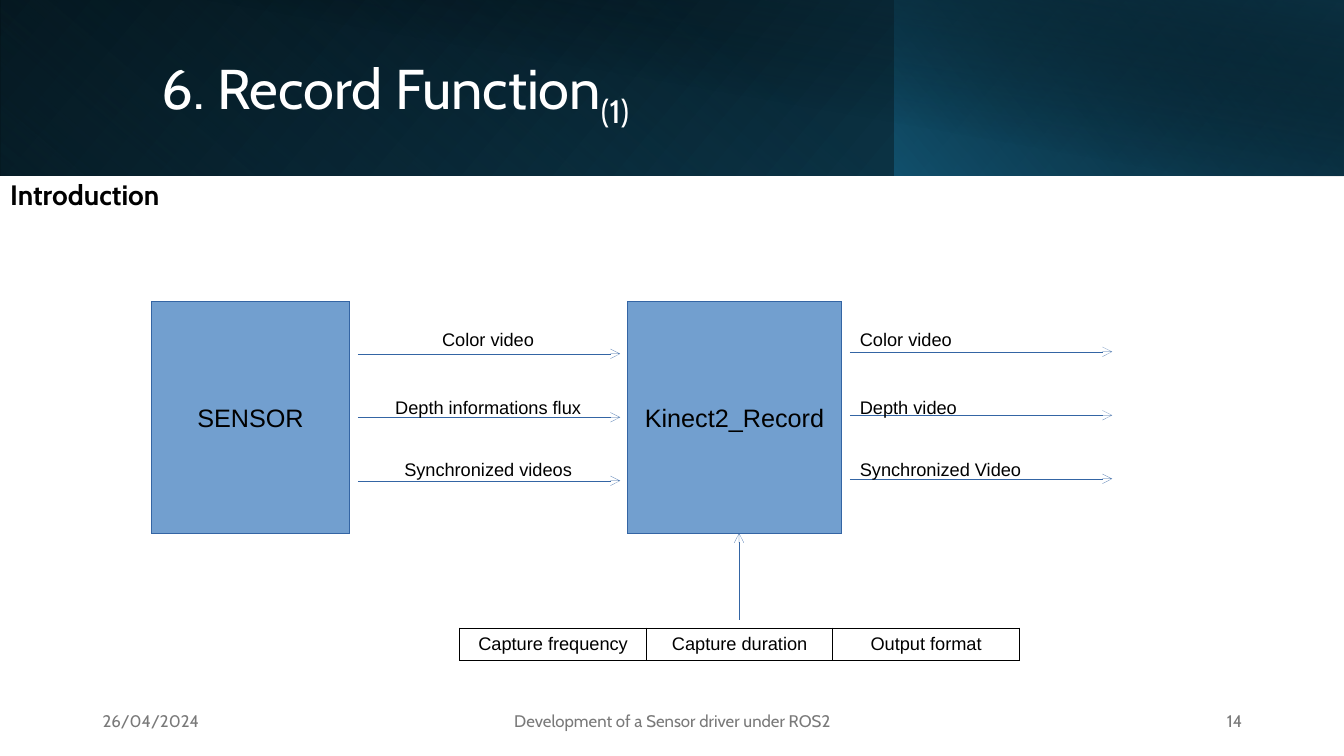
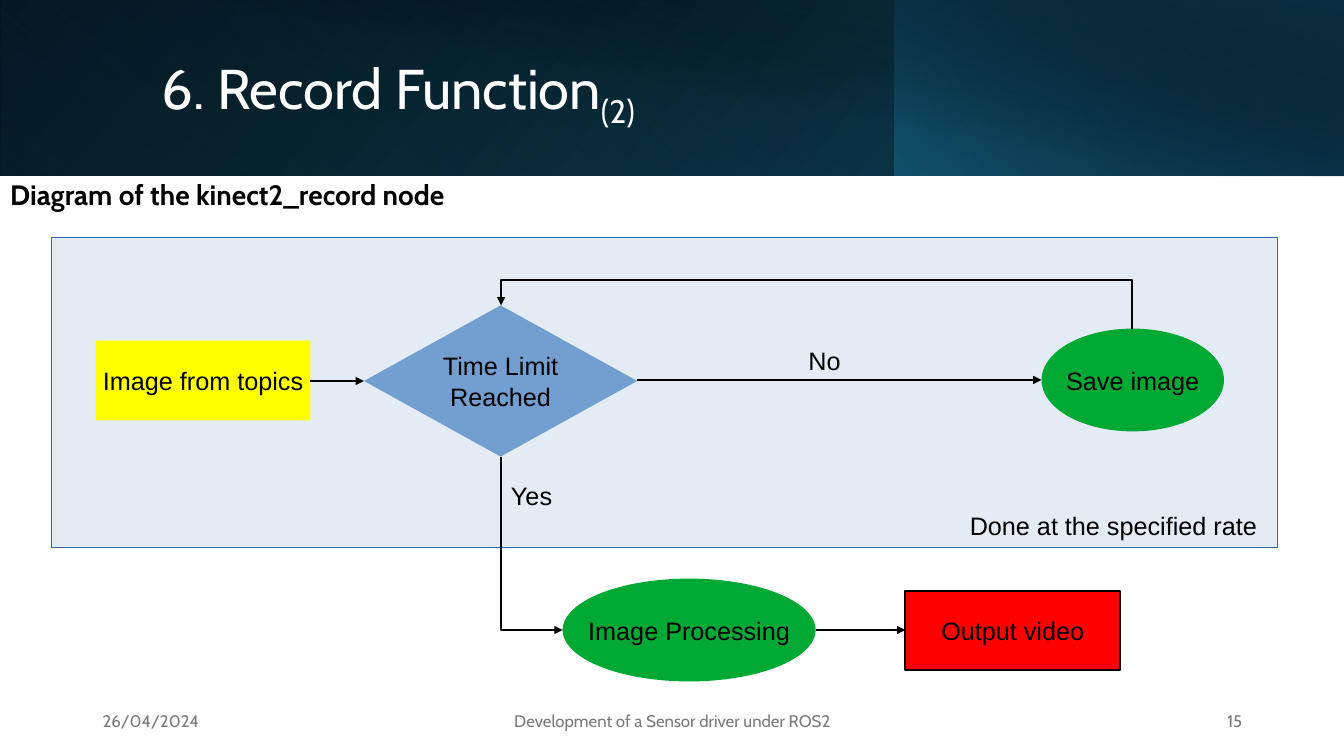
from lxml import etree
from pptx import Presentation
from pptx.dml.color import RGBColor as RGB
from pptx.enum.shapes import MSO_CONNECTOR as CONN, MSO_SHAPE as SHAPE
from pptx.enum.text import MSO_ANCHOR as ANCHOR, MSO_AUTO_SIZE as AUTO, PP_ALIGN as ALIGN
from pptx.oxml import parse_xml
from pptx.oxml.ns import nsdecls, qn
from pptx.util import Inches, Pt

COLORS = {
    "white": "FFFFFF", "black": "000000", "grey": "797979", "blue": "729FCF",
    "edge": "3465A4", "panel": "E3ECF5", "yellow": "FFFF00",
    "green": "00A933", "red": "FF0000", "teal": "156082", "navy": "0B3041",
    "ocean": "104862",
}
HEAD, BODY = "Cabin", "Arial"
HAIRLINE = 0.01

# Header bands: box, angle, stops (position, colour, opacity), flip, rotation
BANDS = [
    ((0, 0, 13.33, 1.74), 140, [(0, "black", 100), (100, "ocean", 100)], True, 0),
    ((0, 0, 8.88, 1.74), 230, [(20, "teal", 0), (100, "navy", 55)], True, 180),
    ((8.87, 0, 4.46, 1.74), 220, [(0, "teal", 66), (100, "black", 30)], True, 0),
    ((0.5, 0, 12.83, 1.75), 280, [(50, "black", 0), (99, "navy", 52)], False, 0),
]
FOOTER_TEXT = "Development of a Sensor driver under ROS2"


def rgb(name):
    return RGB.from_string(COLORS[name])


def inches(*values):
    return [Inches(v) for v in values]


def add_run(p, text, size=18, font=BODY, color="black", bold=False, baseline=0):
    r = p.add_run()
    r.text = text
    r.font.size, r.font.name, r.font.bold = Pt(size), font, bold
    r.font.color.rgb = rgb(color)
    if baseline:
        r.font._element.set("baseline", str(baseline * 1000))


def write(tf, text, align=ALIGN.LEFT, anchor=ANCHOR.MIDDLE, wrap=True, **fmt):
    """Fill a text frame, one paragraph per line of text."""
    tf.word_wrap, tf.auto_size, tf.vertical_anchor = wrap, AUTO.NONE, anchor
    for i, line in enumerate(text.split("\n")):
        p = tf.add_paragraph() if i else tf.paragraphs[0]
        p.alignment = align
        add_run(p, line, **fmt)
    return tf.paragraphs[0]


class Deck:
    def __init__(self):
        self.prs = Presentation()
        self.prs.slide_width, self.prs.slide_height = inches(13.33, 7.5)

    def new_slide(self, part, heading, number):
        self.s = self.prs.slides.add_slide(self.prs.slide_layouts[1])
        for band in BANDS:
            self.band(*band)
        self.title(part)
        self.heading(heading)
        for x, w, text, align in [(0.92, 3, "26/04/2024", ALIGN.LEFT),
                                  (4.42, 4.5, FOOTER_TEXT, ALIGN.CENTER),
                                  (9.42, 3, str(number), ALIGN.RIGHT)]:
            self.text((x, 6.95, w, 0.4), text, align=align, anchor=ANCHOR.MIDDLE,
                      size=12, font=HEAD, color="grey")

    def band(self, box, angle, stops, flip, rotation):
        sp = self.shape(SHAPE.RECTANGLE, box, None)
        sp.rotation = rotation
        if flip:
            sp._element.spPr.find(qn("a:xfrm")).set("flipH", "1")
        gs = "".join(
            f'<a:gs pos="{pos * 1000}"><a:srgbClr val="{COLORS[color]}">'
            f'<a:alpha val="{alpha * 1000}"/></a:srgbClr></a:gs>'
            for pos, color, alpha in stops)
        grad = parse_xml(
            f'<a:gradFill {nsdecls("a")} rotWithShape="1"><a:gsLst>{gs}</a:gsLst>'
            f'<a:lin ang="{angle * 60000}" scaled="0"/></a:gradFill>')
        no_fill = sp._element.spPr.find(qn("a:noFill"))
        no_fill.getparent().replace(no_fill, grad)

    def placeholder(self, ph, box):
        """Place a placeholder in front of the bands."""
        self.s.shapes._spTree.append(ph._element)
        ph.left, ph.top, ph.width, ph.height = inches(*box)
        return ph.text_frame

    def title(self, part):
        tf = self.placeholder(self.s.shapes.title, (1.5, 0.32, 10.82, 1.13))
        fmt = dict(size=40, font=HEAD, color="white")
        p = write(tf, "6. Record Function", **fmt)
        p.line_spacing = 0.9
        add_run(p, f"({part})", baseline=-25, **fmt)

    def heading(self, text):
        tf = self.placeholder(self.s.placeholders[1], (0, 1.75, 5.44, 0.4))
        pPr = tf.paragraphs[0]._p.get_or_add_pPr()
        pPr.set("marL", "0")
        pPr.set("indent", "0")
        etree.SubElement(pPr, qn("a:buNone"))
        p = write(tf, text, align=ALIGN.JUSTIFY, size=20, font=HEAD, bold=True)
        p.line_spacing, p.space_before = 0.9, Pt(0)

    def shape(self, kind, box, fill, text="", line=None, width=HAIRLINE):
        sp = self.s.shapes.add_shape(kind, *inches(*box))
        sp.shadow.inherit = False
        if fill:
            sp.fill.solid()
            sp.fill.fore_color.rgb = rgb(fill)
        else:
            sp.fill.background()
        if line:
            sp.line.color.rgb, sp.line.width = rgb(line), Pt(width)
        else:
            sp.line.fill.background()
        if text:
            write(sp.text_frame, text, align=ALIGN.CENTER, wrap=False)
        return sp

    def text(self, box, text, anchor=ANCHOR.TOP, **fmt):
        sp = self.s.shapes.add_textbox(*inches(*box))
        write(sp.text_frame, text, anchor=anchor, **fmt)

    def arrow(self, start, end, color="black", width=1.5, head="triangle",
              kind=CONN.STRAIGHT):
        c = self.s.shapes.add_connector(kind, *inches(*start, *end))
        c.line.color.rgb, c.line.width = rgb(color), Pt(width)
        etree.SubElement(c.line._get_or_add_ln(), qn("a:tailEnd"), type=head)
        etree.SubElement(c._element.spPr, qn("a:effectLst"))
        return c

    def elbow(self, start, end, preset, adjust=None):
        """Bent arrow that leaves its start vertically."""
        c = self.arrow(start, end, kind=CONN.ELBOW)
        (x1, y1), (x2, y2) = start, end
        w, h = abs(y2 - y1), abs(x2 - x1)
        c.left, c.top, c.width, c.height = inches(
            (x1 + x2 - w) / 2, (y1 + y2 - h) / 2, w, h)
        xfrm = c._element.spPr.find(qn("a:xfrm"))
        xfrm.set("rot", str(270 * 60000))
        xfrm.set("flipH", str(int(y2 > y1)))
        xfrm.set("flipV", str(int(x2 < x1)))
        geom = c._element.spPr.find(qn("a:prstGeom"))
        geom.set("prst", preset)
        if adjust:
            guides = geom.find(qn("a:avLst"))
            etree.SubElement(guides, qn("a:gd"), name="adj1",
                             fmla=f"val {round(adjust * 100000)}")

    def table(self, box, cells):
        tbl = self.s.shapes.add_table(1, len(cells), *inches(*box)).table
        tbl.first_row = tbl.horz_banding = False
        for cell, text in zip(tbl.rows[0].cells, cells):
            write_cell = cell.text_frame.paragraphs[0]
            write_cell.alignment = ALIGN.CENTER
            add_run(write_cell, text, size=13)
            cell.vertical_anchor = ANCHOR.MIDDLE
            cell.fill.background()
            tcPr = cell._tc.get_or_add_tcPr()
            for i, side in enumerate("LRTB"):
                tcPr.insert(i, parse_xml(
                    f'<a:ln{side} {nsdecls("a")} w="9525"><a:solidFill>'
                    f'<a:srgbClr val="{COLORS["black"]}"/></a:solidFill></a:ln{side}>'))


def introduction(deck):
    deck.new_slide(1, "Introduction", 14)
    thin = dict(color="edge", width=HAIRLINE, head="arrow")

    # Sensor and recorder
    for x, w, name in [(1.5, 1.97, "SENSOR"), (6.22, 2.13, "Kinect2_Record")]:
        deck.shape(SHAPE.RECTANGLE, (x, 2.99, w, 2.3), "blue", name, line="edge")

    # Input and output streams
    streams = [
        (3.55, 3.51, ALIGN.CENTER,
         ["Color video", "Depth informations flux", "Synchronized videos"]),
        (8.43, 3.49, ALIGN.LEFT,
         ["Color video", "Depth video", "Synchronized Video"]),
    ]
    for x, y, align, labels in streams:
        for i, (label, label_y) in enumerate(zip(labels, [3.21, 3.88, 4.5])):
            row_y = y + 0.63 * i
            deck.arrow((x, row_y), (x + 2.6, row_y), **thin)
            deck.text((x, label_y, 2.58, 0.3), label, align=align, size=13)

    # Recording parameters
    deck.arrow((7.33, 6.15), (7.33, 5.29), **thin)
    deck.table((4.56, 6.23, 5.55, 0.32),
               ["Capture frequency", "Capture duration", "Output format"])


def node_diagram(deck):
    deck.new_slide(2, "Diagram of the kinect2_record node", 15)

    # Repeated part and flow steps
    deck.shape(SHAPE.RECTANGLE, (0.51, 2.36, 12.16, 3.07), "panel", line="edge")
    deck.shape(SHAPE.RECTANGLE, (0.95, 3.38, 2.13, 0.79), "yellow", "Image from topics")
    deck.shape(SHAPE.DIAMOND, (3.61, 3.03, 2.71, 1.5), "blue", "Time Limit\nReached")
    deck.shape(SHAPE.OVAL, (10.33, 3.26, 1.81, 1.02), "green", "Save image")
    deck.shape(SHAPE.OVAL, (5.58, 5.74, 2.51, 1.02), "green", "Image Processing")
    deck.shape(SHAPE.RECTANGLE, (8.98, 5.86, 2.13, 0.79), "red", "Output video",
               line="black", width=1.5)

    # Labels
    for x, y, w, label in [(7.92, 3.38, 0.7, "No"), (4.97, 4.72, 0.7, "Yes"),
                           (9.52, 5.01, 3.15, "Done at the specified rate")]:
        deck.text((x, y, w, 0.4), label)

    # Flow arrows
    for x1, x2, y in [(8.09, 8.98, 6.25), (3.07, 3.61, 3.78), (6.32, 10.33, 3.77)]:
        deck.arrow((x1, y), (x2, y))
    deck.elbow((11.23, 3.26), (4.97, 3.03), "bentConnector3", adjust=2.09)
    deck.elbow((4.97, 4.53), (5.58, 6.25), "bentConnector2")


def main():
    deck = Deck()
    introduction(deck)
    node_diagram(deck)
    deck.prs.save("out.pptx")


if __name__ == "__main__":
    main()
